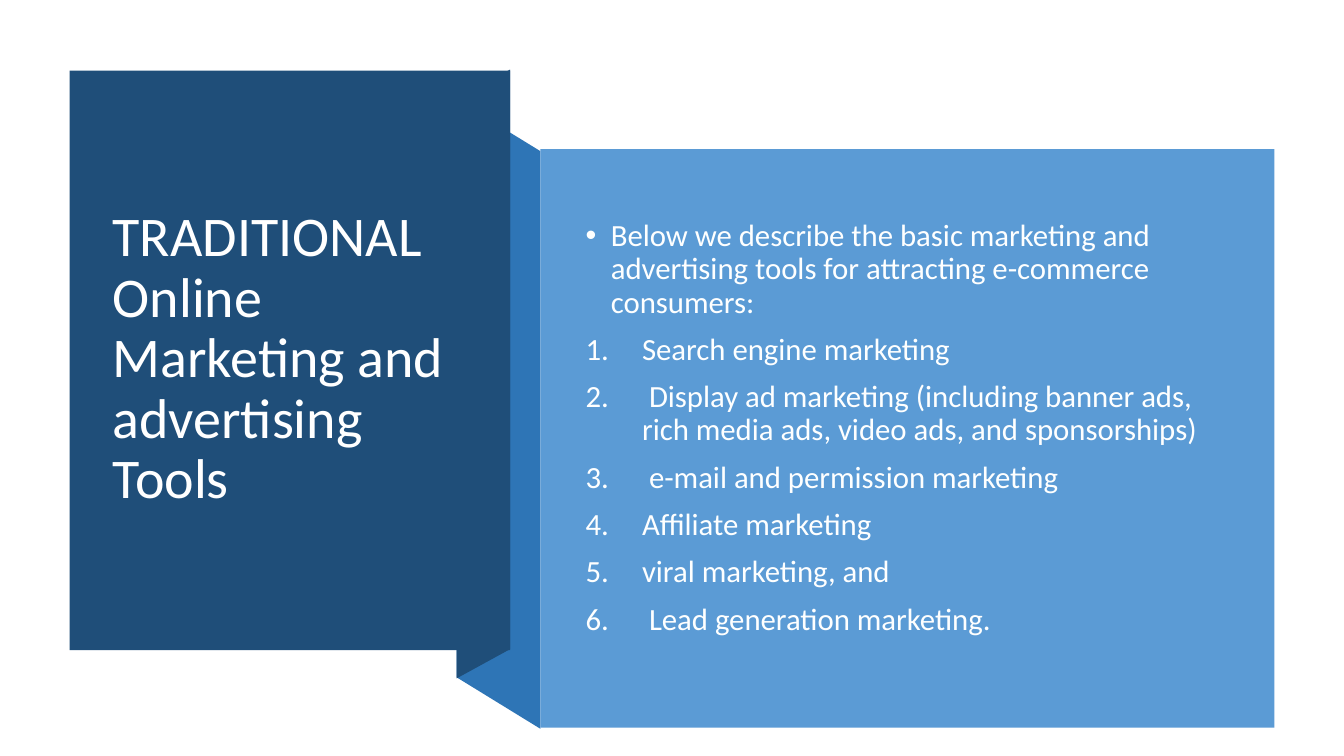
from lxml.etree import SubElement
from pptx import Presentation
from pptx.dml.color import RGBColor
from pptx.enum.shapes import MSO_SHAPE
from pptx.enum.text import MSO_ANCHOR
from pptx.oxml.ns import qn
from pptx.util import Inches, Pt

TITLE = "TRADITIONAL Online Marketing and advertising Tools"
INTRO = "Below we describe the basic marketing and advertising tools for attracting e-commerce consumers:"
TOOLS = [
    "Search engine marketing",
    " Display ad marketing (including banner ads, rich media ads, video ads, and sponsorships)",
    " e-mail and permission marketing",
    "Affiliate marketing",
    "viral marketing, and",
    " Lead generation marketing.",
]

THEME = {
    "font": "Calibri",
    "dark": "1F4E79",
    "fold": "2E75B6",
    "panel": "5B9BD5",
    "title_text": "FFFFFF",
    "body_text": "FEFFFF",
    "title_size": 40,
    "body_size": 22,
}

FOLD_LEFT = 4.53
TITLE_PANEL = (0.69, 0.7, 4.37, 5.75)
BODY_PANEL = (5.36, 1.48, 7.28, 5.74)
TITLE_BOX = (1.02, 1.07, 3.71, 4.99)
BODY_BOX = (5.71, 1.88, 6.51, 4.74)
RIBBONS = [
    ([(5.36, 7.23), (FOLD_LEFT, 6.72), (FOLD_LEFT, 0.99), (5.36, 1.5)], "fold"),
    ([(5.06, 6.44), (FOLD_LEFT, 6.73), (FOLD_LEFT, 0.98), (5.06, 0.69)], "dark"),
]


def paint(shape, color):
    shape.shadow.inherit = False
    shape.fill.solid()
    shape.fill.fore_color.rgb = RGBColor.from_string(THEME[color])
    shape.line.fill.background()


def add_ribbon(slide, points, color):
    corners = [(Inches(x), Inches(y)) for x, y in points]
    builder = slide.shapes.build_freeform(*corners[0], scale=1.0)
    builder.add_line_segments(corners[1:], close=True)
    paint(builder.convert_to_shape(), color)


def add_panel(slide, box, color):
    paint(slide.shapes.add_shape(MSO_SHAPE.RECTANGLE, *map(Inches, box)), color)


def add_text_frame(slide, box):
    frame = slide.shapes.add_textbox(*map(Inches, box)).text_frame
    frame.word_wrap = True
    frame.vertical_anchor = MSO_ANCHOR.MIDDLE
    return frame


def write(paragraph, text, *, size, color, before=0, indent=0, bullet=None):
    paragraph.line_spacing = 0.9
    paragraph.space_before = Pt(before)
    if bullet:
        properties = paragraph._p.get_or_add_pPr()
        properties.set("marL", str(Inches(indent)))
        properties.set("indent", str(-Inches(indent)))
        SubElement(properties, qn("a:buFont"), typeface="Arial" if bullet == "buChar" else "+mj-lt")
        attributes = {"char": "•"} if bullet == "buChar" else {"type": "arabicPeriod"}
        SubElement(properties, qn(f"a:{bullet}"), attributes)
    run = paragraph.add_run()
    run.text = text
    run.font.name = THEME["font"]
    run.font.size = Pt(THEME[size])
    run.font.color.rgb = RGBColor.from_string(THEME[color])


def main():
    presentation = Presentation()
    presentation.slide_width = Inches(13.33)
    presentation.slide_height = Inches(7.5)
    slide = presentation.slides.add_slide(presentation.slide_layouts[6])

    for points, color in RIBBONS:
        add_ribbon(slide, points, color)
    add_panel(slide, TITLE_PANEL, "dark")
    title = add_text_frame(slide, TITLE_BOX)
    write(title.paragraphs[0], TITLE, size="title_size", color="title_text")

    add_panel(slide, BODY_PANEL, "panel")
    body = add_text_frame(slide, BODY_BOX)
    body_format = {"size": "body_size", "color": "body_text"}
    write(body.paragraphs[0], INTRO, indent=0.25, bullet="buChar", **body_format)
    for tool in TOOLS:
        write(body.add_paragraph(), tool, before=10, indent=0.56, bullet="buAutoNum", **body_format)

    presentation.save("out.pptx")


if __name__ == "__main__":
    main()
